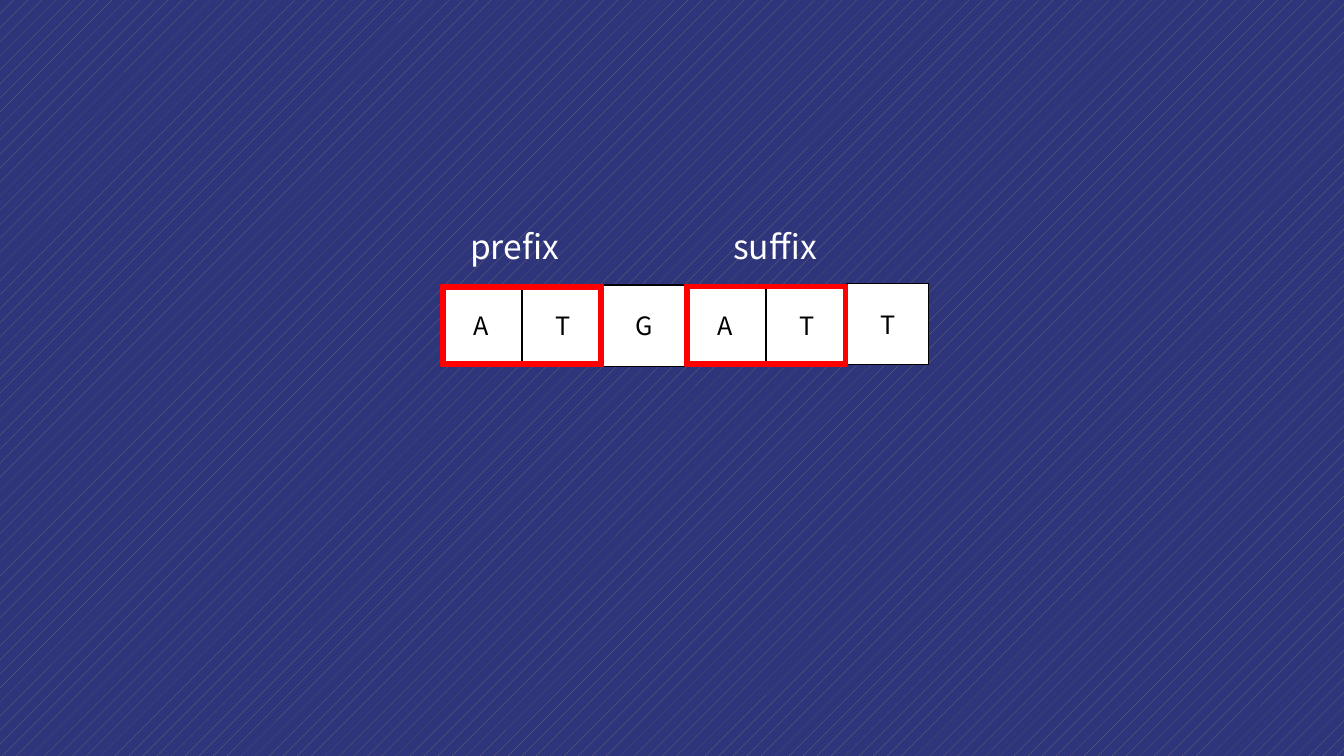
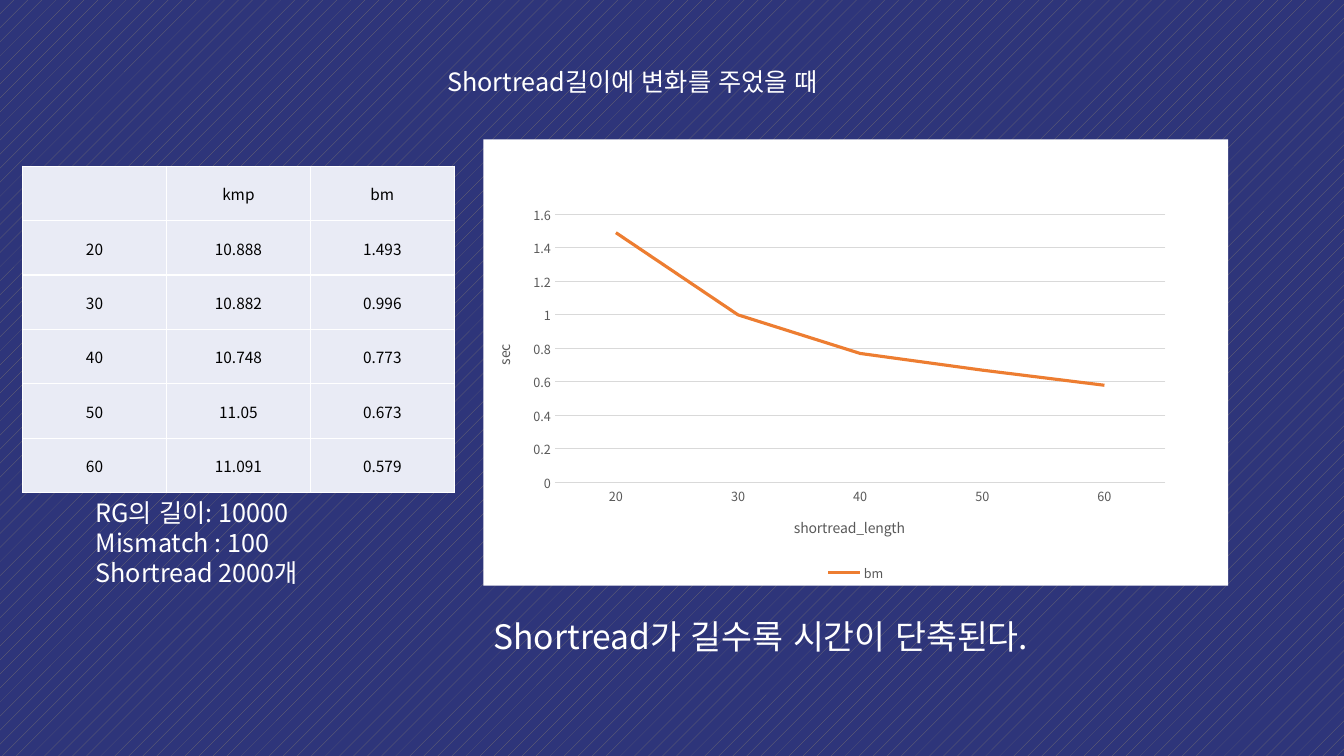
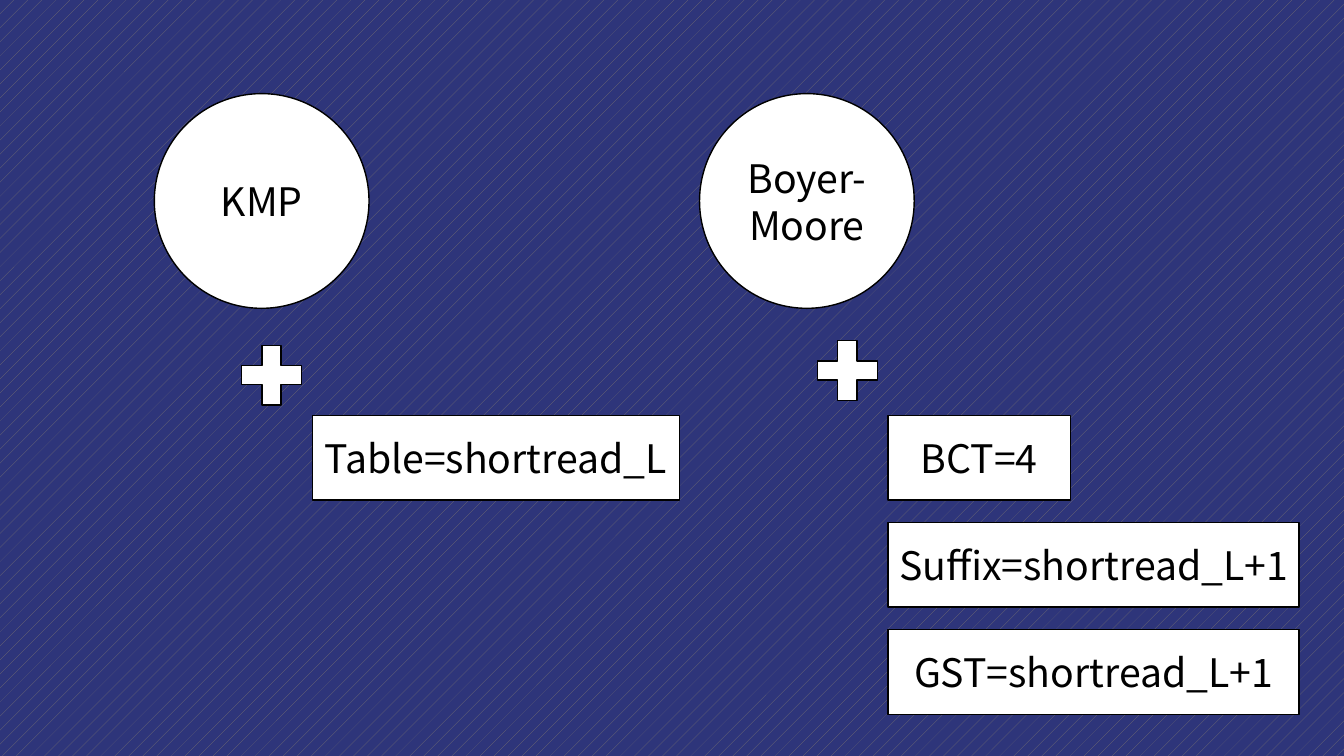
from lxml.etree import SubElement as Sub
from pptx import Presentation
from pptx.chart.data import CategoryChartData as Data
from pptx.dml.color import RGBColor
from pptx.enum.chart import XL_CHART_TYPE as Kind, XL_LEGEND_POSITION as Spot, XL_TICK_MARK as Tick
from pptx.enum.dml import MSO_PATTERN as Pat
from pptx.enum.lang import MSO_LANGUAGE_ID as Lang
from pptx.enum.shapes import MSO_SHAPE as Form
from pptx.enum.text import MSO_ANCHOR as Anchor, MSO_AUTO_SIZE as Auto, PP_ALIGN as Align
from pptx.oxml.ns import qn
from pptx.util import Cm, Pt

FONT = "Noto Sans CJK KR"
NAVY, DUST, WHITE, BLACK = "2E357A", "767171", "FFFFFF", "000000"
RED, PALE, GRAY, RULE, ORANGE = "FF0000", "E9EBF5", "595959", "D9D9D9", "ED7D31"

BASES = "ATGAT"
LAST = "T"
MARKS = [("prefix", 11.6, 0, 7.18), ("suffix", 18.23, 3, 7.17)]

HEAD = "Shortread길이에 변화를 주었을 때"
TIMES = [
    ("", "kmp", "bm"),
    ("20", "10.888", "1.493"),
    ("30", "10.882", "0.996"),
    ("40", "10.748", "0.773"),
    ("50", "11.05", "0.673"),
    ("60", "11.091", "0.579"),
]
SETUP = "RG의 길이: 10000\nMismatch : 100\nShortread 2000개"
RESULT = "Shortread가 길수록 시간이 단축된다."
PLOT = {"x": 0.096, "y": 0.168, "w": 0.82, "h": 0.601}

COSTS = [
    ("KMP", 3.89, (5.82, 8.43), [("Table=shortread_L", 9.25)]),
    ("Boyer-Moore", 17.63, (20.33, 8.31),
     [("BCT=4", 4.6), ("Suffix=shortread_L+1", 10.36), ("GST=shortread_L+1", 10.36)]),
]
UNIT = 2.05


def rgb(code):
    return RGBColor.from_string(code)


def paint(fill, code):
    fill.solid()
    fill.fore_color.rgb = rgb(code)


def stroke(line, code, width):
    paint(line.fill, code)
    line.width = Pt(width)


def style(font, size, color):
    font.name, font.size, font.bold = FONT, Pt(size), False
    font.color.rgb = rgb(color)


def write(frame, text, size, color, align=Align.LEFT):
    frame.text = text
    for par in frame.paragraphs:
        par.alignment = align
        for run in par.runs:
            style(run.font, size, color)
            run.font.language_id = Lang.KOREAN
            Sub(run.font._element, qn("a:ea"), typeface=FONT)


def place(item, left, top, width, height):
    item.left, item.top, item.width, item.height = map(Cm, (left, top, width, height))


def label(slide, text, left, top, width, height, size):
    frame = slide.shapes.add_textbox(*map(Cm, (left, top, width, height))).text_frame
    frame.word_wrap = True
    frame.auto_size = Auto.SHAPE_TO_FIT_TEXT
    write(frame, text, size, WHITE)


def block(slide, form, left, top, width, height, text="", size=18, fill=WHITE, edge=BLACK):
    shape = slide.shapes.add_shape(form, *map(Cm, (left, top, width, height)))
    shape.shadow.inherit = False
    paint(shape.fill, fill)
    stroke(shape.line, edge, 1)
    if text:
        shape.text_frame.vertical_anchor = Anchor.MIDDLE
        write(shape.text_frame, text, size, BLACK, Align.CENTER)
    return shape


def border(cell):
    props = cell._tc.get_or_add_tcPr()
    for side in ("lnL", "lnR", "lnT", "lnB"):
        line = Sub(props, qn("a:" + side), w=str(Pt(1)))
        Sub(Sub(line, qn("a:solidFill")), qn("a:srgbClr"), val=WHITE)


def grid(slide, rows, left, top, width, height):
    table = slide.shapes.add_table(
        len(rows), len(rows[0]), *map(Cm, (left, top, width, height))).table
    table.first_row = table.horz_banding = False
    for r, row in enumerate(rows):
        for c, text in enumerate(row):
            cell = table.cell(r, c)
            border(cell)
            paint(cell.fill, PALE)
            cell.vertical_anchor = Anchor.MIDDLE
            cell.margin_left = cell.margin_right = cell.margin_top = Cm(0.02)
            cell.margin_bottom = 0
            write(cell.text_frame, text, 11, BLACK, Align.CENTER)


def set_axis(axis, title):
    axis.has_title = True
    write(axis.axis_title.text_frame, title, 10, GRAY, Align.CENTER)
    axis.major_tick_mark = axis.minor_tick_mark = Tick.NONE
    style(axis.tick_labels.font, 9, GRAY)


def set_plot(chart):
    area = chart._chartSpace.chart.plotArea
    for old in area.findall(qn("c:layout")):
        area.remove(old)
    layout = Sub(area, qn("c:layout"))
    area.insert(0, layout)
    manual = Sub(layout, qn("c:manualLayout"))
    Sub(manual, qn("c:layoutTarget"), val="inner")
    for key in "xy":
        Sub(manual, qn(f"c:{key}Mode"), val="edge")
    for key, part in PLOT.items():
        Sub(manual, qn("c:" + key), val=str(part))


def set_back(chart):
    space = chart._chartSpace
    props = Sub(space, qn("c:spPr"))
    Sub(Sub(props, qn("a:solidFill")), qn("a:srgbClr"), val=WHITE)
    Sub(Sub(props, qn("a:ln")), qn("a:noFill"))
    space.chart.addnext(props)


def curve(slide, rows, left, top, width, height):
    data = Data()
    data.categories = [row[0] for row in rows[1:]]
    data.add_series(rows[0][2], [round(float(row[2]), 2) for row in rows[1:]])
    chart = slide.shapes.add_chart(
        Kind.LINE, *map(Cm, (left, top, width, height)), data).chart
    style(chart.font, 10, BLACK)
    chart.has_title = False
    chart.has_legend = True
    chart.legend.position = Spot.BOTTOM
    chart.legend.include_in_layout = False
    style(chart.legend.font, 9, GRAY)
    cats, vals = chart.category_axis, chart.value_axis
    set_axis(cats, "shortread_length")
    set_axis(vals, "sec")
    stroke(cats.format.line, RULE, 0.75)
    vals.format.line.fill.background()
    stroke(vals.major_gridlines.format.line, RULE, 0.75)
    vals.minimum_scale, vals.maximum_scale, vals.major_unit = 0, 1.6, 0.2
    plot = chart.plots[0]
    plot.vary_by_categories = False
    line = plot.series[0]
    line.smooth = False
    stroke(line.format.line, ORANGE, 2.25)
    set_plot(chart)
    set_back(chart)


def show_match(slide):
    left, top = 11.11, 7.18
    for i, base in enumerate(BASES):
        block(slide, Form.RECTANGLE, left + i * UNIT, top, UNIT, UNIT, base)
    block(slide, Form.RECTANGLE, 21.35, 7.14, UNIT, UNIT, LAST)
    for text, x, start, y in MARKS:
        frame = block(slide, Form.FRAME, left + start * UNIT, y, 2 * UNIT, UNIT,
                      fill=RED, edge=RED)
        frame.adjustments[0] = 0.053
        label(slide, text, x, 5.57, 5.16, 1.27, 24)


def show_times(slide):
    title = slide.shapes.title
    place(title, 11.02, 1.54, 10.24, 1.02)
    title.text_frame.vertical_anchor = Anchor.TOP
    write(title.text_frame, HEAD, 18, WHITE)
    curve(slide, TIMES, 12.18, 3.51, 18.77, 11.25)
    label(slide, SETUP, 2.16, 12.4, 7.21, 2.57, 18)
    grid(slide, TIMES, 0.57, 4.19, 10.88, 8.22)
    label(slide, RESULT, 12.19, 15.39, 16.33, 1.27, 24)


def show_costs(slide):
    for name, left, (x, y), parts in COSTS:
        block(slide, Form.OVAL, left, 2.36, 5.41, 5.41, name, 28)
        block(slide, Form.MATH_PLUS, x, y, UNIT, UNIT)
        for i, (text, width) in enumerate(parts):
            block(slide, Form.RECTANGLE, x + UNIT, 10.47 + i * 2.7, width, 2.13, text, 28)


deck = Presentation()
deck.slide_width, deck.slide_height = Cm(33.87), Cm(19.05)
back = deck.slide_master.background.fill
back.patterned()
back.pattern = Pat.PERCENT_5
back.fore_color.rgb, back.back_color.rgb = rgb(DUST), rgb(NAVY)

for show, kind in ((show_match, 6), (show_times, 5), (show_costs, 6)):
    show(deck.slides.add_slide(deck.slide_layouts[kind]))

deck.save("out.pptx")
